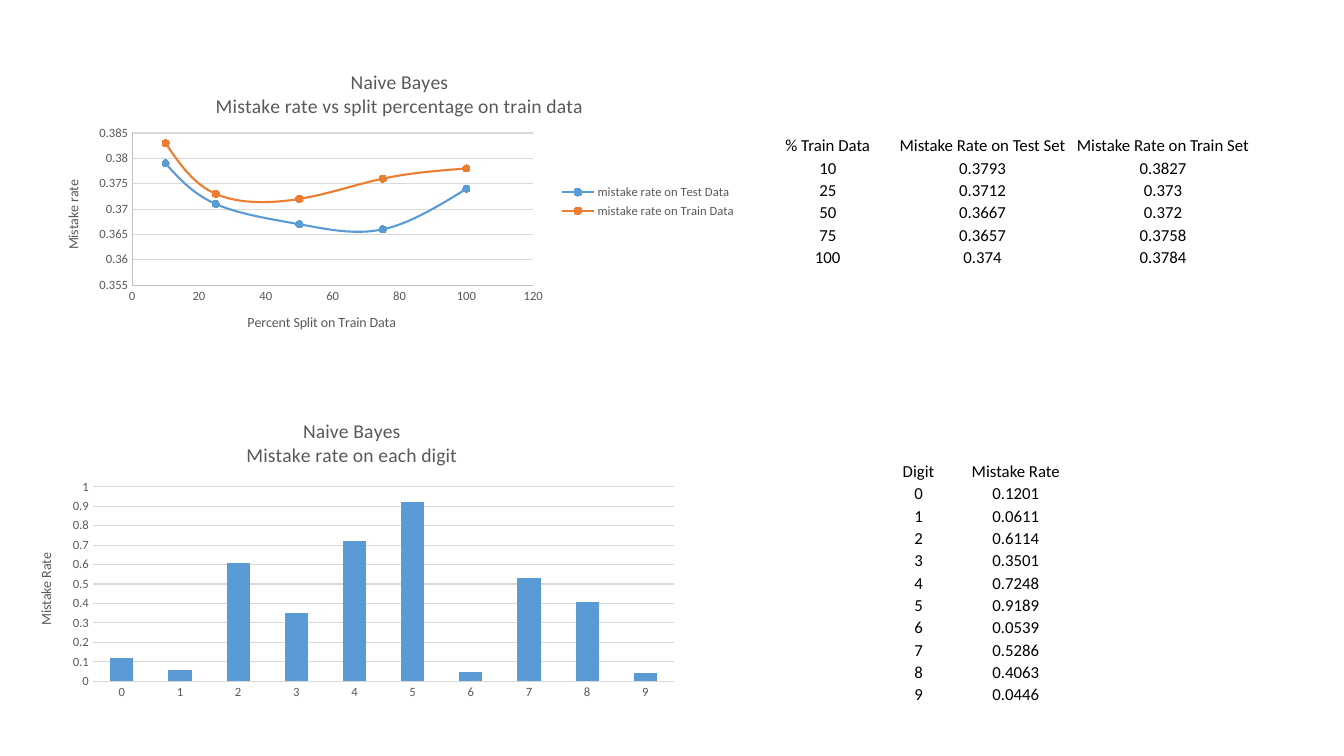
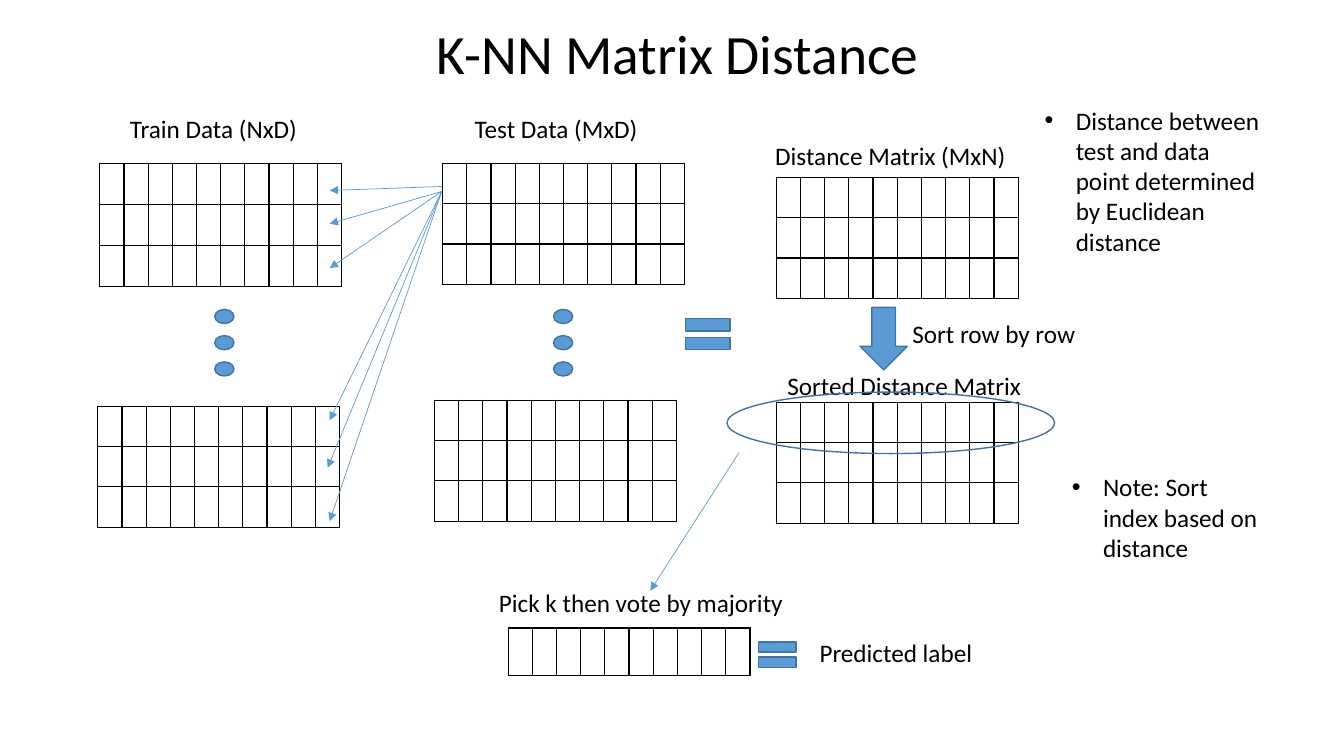
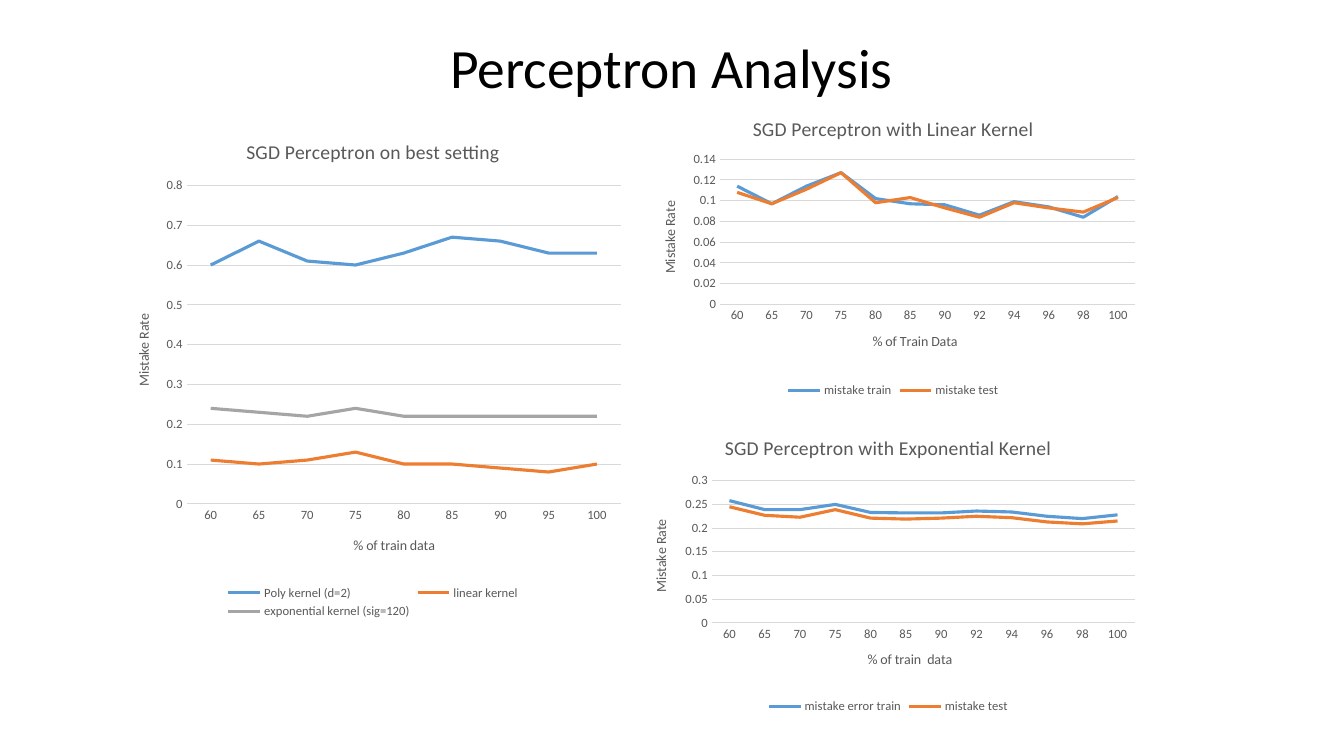
from itertools import product

from lxml.etree import SubElement
from pptx import Presentation
from pptx.chart.data import CategoryChartData, XyChartData
from pptx.dml.color import RGBColor
from pptx.enum.chart import XL_CHART_TYPE, XL_LEGEND_POSITION, XL_MARKER_STYLE, XL_TICK_MARK
from pptx.enum.shapes import MSO_CONNECTOR, MSO_SHAPE
from pptx.enum.text import MSO_ANCHOR, MSO_AUTO_SIZE, PP_ALIGN
from pptx.oxml.ns import qn
from pptx.util import Inches, Pt

FONT = "Calibri"
BLACK, GREY = "000000", "595959"
GRID, AXIS = "D9D9D9", "BFBFBF"
BLUE, OUTLINE = "5B9BD5", "43739E"
SERIES_COLORS = [BLUE, "ED7D31", "A5A5A5"]

SPLIT_ROWS = [
    (10, 0.3793, 0.3827),
    (25, 0.3712, 0.373),
    (50, 0.3667, 0.372),
    (75, 0.3657, 0.3758),
    (100, 0.374, 0.3784),
]
DIGIT_RATES = [0.1201, 0.0611, 0.6114, 0.3501, 0.7248, 0.9189, 0.0539, 0.5286, 0.4063, 0.0446]
KERNEL_SPLITS = [60, 65, 70, 75, 80, 85, 90, 92, 94, 96, 98, 100]
BEST_SPLITS = [60, 65, 70, 75, 80, 85, 90, 95, 100]


def rgb(color):
    return RGBColor.from_string(color)


def inches(*lengths):
    return [Inches(length) for length in lengths]


def apply(target, **values):
    """Set each named attribute of the target."""
    for name, value in values.items():
        setattr(target, name, value)


def style_font(font, size, color=BLACK):
    apply(font, name=FONT, size=Pt(size), bold=False)
    font.color.rgb = rgb(color)


def style_line(line, color, width):
    line.color.rgb = rgb(color)
    line.width = Pt(width)


def write(text_frame, text, size, color=BLACK, **paragraph_format):
    text_frame.text = text
    for paragraph in text_frame.paragraphs:
        apply(paragraph, **paragraph_format)
        for run in paragraph.runs:
            style_font(run.font, size, color)


def place(shape, box):
    apply(shape, **dict(zip(("left", "top", "width", "height"), inches(*box))))


def add_title(slide, text, box):
    title = slide.shapes.title
    place(title, box)
    apply(title.text_frame, auto_size=MSO_AUTO_SIZE.NONE, vertical_anchor=MSO_ANCHOR.MIDDLE)
    write(title.text_frame, text, 39.6, alignment=PP_ALIGN.CENTER, line_spacing=0.9)


# Charts


def set_layout(parent, box, **fractions):
    """Fix the place of a chart part; x and y are measured on the slide."""
    left, top, width, height = box
    layout = parent.find(qn("c:layout"))
    if layout is None:
        layout = parent.makeelement(qn("c:layout"))
        parent.insert(0, layout)
    manual = SubElement(layout, qn("c:manualLayout"))
    if "w" in fractions:
        SubElement(manual, qn("c:layoutTarget"), val="inner")
    for mode in ("xMode", "yMode"):
        SubElement(manual, qn("c:" + mode), val="edge")
    offsets = {"x": (left, width), "y": (top, height), "w": (0, width), "h": (0, height)}
    for name, value in fractions.items():
        start, extent = offsets[name]
        SubElement(manual, qn("c:" + name), val=f"{(value - start) / extent:.4f}")


def style_axis(axis, line_color, grid, scale):
    apply(axis, major_tick_mark=XL_TICK_MARK.NONE, minor_tick_mark=XL_TICK_MARK.NONE,
          has_major_gridlines=grid, **scale)
    style_font(axis.tick_labels.font, 9, GREY)
    apply(axis.tick_labels, number_format="General", number_format_is_linked=False)
    if grid:
        style_line(axis.major_gridlines.format.line, GRID, 0.75)
    if line_color:
        style_line(axis.format.line, line_color, 0.75)
    else:
        axis.format.line.fill.background()


def add_axis_title(axis, text, box, position, upright=False):
    write(axis.axis_title.text_frame, text, 10, GREY)
    title = axis.axis_title.element
    set_layout(title, box, x=position[0], y=position[1])
    if upright:
        body = title.find(".//" + qn("a:bodyPr"))
        body.set("rot", "-5400000")
        body.set("vert", "horz")


def add_chart(slide, kind, data, box, plot_box, title, value_title, category_title=None,
              legend=None, value_scale=None, category_scale=None,
              category_line=GRID, value_line=None):
    """Axis titles are pairs of text and (left, top)."""
    chart = slide.shapes.add_chart(kind, *inches(*box), data).chart
    style_font(chart.font, 10)
    apply(chart, has_title=True, has_legend=legend is not None)
    write(chart.chart_title.text_frame, title, 14, GREY)
    chart.chart_title.include_in_layout = False
    if legend is not None:
        apply(chart.legend, position=legend, include_in_layout=False)
        style_font(chart.legend.font, 9, GREY)
    style_axis(chart.category_axis, category_line, False, category_scale or {})
    style_axis(chart.value_axis, value_line, True, value_scale or {})
    add_axis_title(chart.value_axis, value_title[0], box, value_title[1], upright=True)
    if category_title:
        add_axis_title(chart.category_axis, category_title[0], box, category_title[1])
    set_layout(chart.element.find(".//" + qn("c:plotArea")), box, **dict(zip("xywh", plot_box)))
    chart.plots[0].vary_by_categories = False
    return chart


def scale(low, high, step):
    return {"minimum_scale": low, "maximum_scale": high, "major_unit": step}


def category_data(categories, series):
    data = CategoryChartData(number_format="General")
    data.categories = categories
    for name, values in series.items():
        data.add_series(name, values)
    return data


def add_split_chart(slide):
    data = XyChartData(number_format="General")
    for column, subset in enumerate(("Test", "Train"), start=1):
        series = data.add_series(f"mistake rate on {subset} Data")
        for row in SPLIT_ROWS:
            series.add_data_point(row[0], round(row[column], 3))
    box = (0.43, 0.5, 6.97, 3)
    chart = add_chart(
        slide, XL_CHART_TYPE.XY_SCATTER_SMOOTH, data, box, (1.31, 1.32, 3.98, 1.51),
        "Naive Bayes\nMistake rate vs split percentage on train data",
        ("Mistake rate", (0.61, 1.76)), ("Percent Split on Train Data", (2.43, 3.08)),
        XL_LEGEND_POSITION.RIGHT, scale(0.355, 0.385, 0.005), scale(0, 120, 20), AXIS, AXIS)
    set_layout(chart.chart_title.element, box, x=2.11, y=0.65)
    for smooth in chart.element.iter(qn("c:smooth")):
        smooth.set("val", "1")
    for series, color in zip(chart.plots[0].series, SERIES_COLORS):
        style_line(series.format.line, color, 1.5)
        apply(series.marker, style=XL_MARKER_STYLE.CIRCLE, size=5)
        series.marker.format.fill.solid()
        series.marker.format.fill.fore_color.rgb = rgb(color)
        style_line(series.marker.format.line, color, 0.75)


def add_digit_chart(slide):
    rates = [round(rate, 2) for rate in DIGIT_RATES]
    chart = add_chart(
        slide, XL_CHART_TYPE.COLUMN_CLUSTERED,
        category_data(range(10), {"Series 1": rates}),
        (0.16, 4, 6.66, 3), (0.92, 4.83, 5.77, 1.93),
        "Naive Bayes\nMistake rate on each digit",
        ("Mistake Rate", (0.34, 5.46)), value_scale=scale(0, 1, 0.1))
    plot = chart.plots[0]
    plot.gap_width = 150
    plot.series[0].format.fill.solid()
    plot.series[0].format.fill.fore_color.rgb = rgb(BLUE)


def add_kernel_chart(slide, categories, series_values, box, plot_box, title,
                     value_title_at, category_title, value_scale):
    chart = add_chart(
        slide, XL_CHART_TYPE.LINE, category_data(categories, series_values), box, plot_box, title,
        ("Mistake Rate", value_title_at), category_title, XL_LEGEND_POSITION.BOTTOM, value_scale)
    for series, color in zip(chart.plots[0].series, SERIES_COLORS):
        series.smooth = False
        series.marker.style = XL_MARKER_STYLE.NONE
        style_line(series.format.line, color, 2.25)


# Tables


def add_plain_table(slide, left, top, column_widths, height, row_count):
    """Add a table without style bands, fills or cell margins."""
    box = inches(left, top, sum(column_widths), height)
    table = slide.shapes.add_table(row_count, len(column_widths), *box).table
    apply(table, first_row=False, horz_banding=False)
    for column, width in zip(table.columns, column_widths):
        column.width = Inches(width)
    for cell in table.iter_cells():
        cell.fill.background()
        apply(cell, margin_left=0, margin_right=0, margin_top=0, margin_bottom=0,
              vertical_anchor=MSO_ANCHOR.BOTTOM)
    return table


def add_data_table(slide, left, top, column_widths, height, rows):
    table = add_plain_table(slide, left, top, column_widths, height, len(rows))
    for cell, value in zip(table.iter_cells(), (value for row in rows for value in row)):
        write(cell.text_frame, str(value), 12, alignment=PP_ALIGN.CENTER)


def add_matrix(slide, left, top, row_count=3, height=1.2):
    """Draw an empty grid of ten columns with black borders."""
    table = add_plain_table(slide, left, top, [0.24] * 10, height, row_count)
    for cell in table.iter_cells():
        properties = cell._tc.get_or_add_tcPr()
        for index, side in enumerate(("lnL", "lnR", "lnT", "lnB")):
            border = properties.makeelement(qn("a:" + side), w=str(Pt(1)))
            SubElement(SubElement(border, qn("a:solidFill")), qn("a:srgbClr"), val=BLACK)
            properties.insert(index, border)


# Diagram parts


def add_label(slide, text, *box):
    text_frame = slide.shapes.add_textbox(*inches(*box)).text_frame
    text_frame.word_wrap = False
    write(text_frame, text, 18)


def add_mark(slide, kind, box, filled=True):
    shape = slide.shapes.add_shape(kind, *inches(*box))
    shape.shadow.inherit = False
    if filled:
        shape.fill.solid()
        shape.fill.fore_color.rgb = rgb(BLUE)
    else:
        shape.fill.background()
    style_line(shape.line, OUTLINE, 1)


def add_arrow(slide, start, end):
    connector = slide.shapes.add_connector(MSO_CONNECTOR.STRAIGHT, *inches(*start, *end))
    style_line(connector.line, BLUE, 0.5)
    SubElement(connector.line._get_or_add_ln(), qn("a:tailEnd"), type="triangle")
    SubElement(connector.element.spPr, qn("a:effectLst"))


def add_note(placeholder, text, box):
    place(placeholder, box)
    apply(placeholder.text_frame, auto_size=MSO_AUTO_SIZE.NONE, word_wrap=True)
    write(placeholder.text_frame, text, 18, space_before=Pt(0))
    properties = placeholder.text_frame.paragraphs[0]._p.get_or_add_pPr()
    properties.set("marL", str(Inches(0.31)))
    properties.set("indent", str(Inches(-0.31)))


def add_data_sets(slide):
    """Train and test matrices, the dots between their rows, and the comparisons."""
    add_label(slide, "Train Data (NxD)", 1.19, 1.08, 1.88, 0.4)
    add_label(slide, "Test Data (MxD)", 4.61, 1.08, 1.84, 0.4)
    add_matrix(slide, 0.99, 1.62, height=1.22)
    for left, top in ((0.97, 4.03), (4.39, 1.62), (4.31, 3.97)):
        add_matrix(slide, left, top)
    for left, step in product((2.13, 5.49), range(3)):
        add_mark(slide, MSO_SHAPE.OVAL, (left, 3.07 + 0.26 * step, 0.19, 0.14))
    add_arrow(slide, (4.38, 1.85), (3.27, 1.89))
    for end in ((3.27, 2.22), (3.27, 2.66), (3.27, 4.17), (3.25, 4.64), (3.27, 5.17)):
        add_arrow(slide, (4.38, 1.9), end)
    add_mark(slide, MSO_SHAPE.MATH_EQUAL, (6.72, 3.05, 0.6, 0.53))


def add_sorting(slide):
    add_matrix(slide, 7.7, 1.76)
    add_label(slide, "Distance Matrix (MxN)", 7.59, 1.34, 2.51, 0.31)
    add_mark(slide, MSO_SHAPE.DOWN_ARROW, (8.53, 3.05, 0.47, 0.62))
    add_label(slide, "Sort row by row", 8.95, 3.11, 1.84, 0.31)
    add_matrix(slide, 7.7, 3.99)
    add_label(slide, "Sorted Distance Matrix", 7.71, 3.62, 2.55, 0.31)
    add_mark(slide, MSO_SHAPE.OVAL, (7.21, 3.89, 3.25, 0.61), filled=False)


def add_vote(slide):
    add_arrow(slide, (7.33, 4.49), (6.45, 5.86))
    add_label(slide, "Pick k then vote by majority", 4.85, 5.78, 3.05, 0.4)
    add_matrix(slide, 5.04, 6.23, row_count=1, height=0.47)
    add_mark(slide, MSO_SHAPE.MATH_EQUAL, (7.46, 6.28, 0.5, 0.43))
    add_label(slide, "Predicted label", 8.03, 6.27, 1.74, 0.4)


# Slides


def build_naive_bayes(presentation):
    slide = presentation.slides.add_slide(presentation.slide_layouts.get_by_name("Blank"))
    add_split_chart(slide)
    add_digit_chart(slide)
    add_data_table(slide, 8.66, 4.56, (0.9, 1.03), 2.44,
                   [("Digit", "Mistake Rate"), *enumerate(DIGIT_RATES)])
    add_data_table(slide, 7.56, 1.33, (1.3, 1.77, 1.81), 1.33,
                   [("% Train Data", "Mistake Rate on Test Set", "Mistake Rate on Train Set"),
                    *SPLIT_ROWS])


def build_matrix_distance(presentation):
    slide = presentation.slides.add_slide(presentation.slide_layouts.get_by_name("Two Content"))
    add_title(slide, "K-NN Matrix Distance", (0.97, 0.35, 11.5, 0.43))
    add_data_sets(slide)
    add_sorting(slide)
    add_vote(slide)
    add_note(slide.placeholders[1],
             "Distance between test and data point determined by Euclidean distance",
             (10.26, 0.99, 2.37, 1.62))
    add_note(slide.placeholders[2], "Note: Sort index based on distance", (10.53, 4.63, 2.1, 1.01))


def build_perceptron(presentation):
    slide = presentation.slides.add_slide(presentation.slide_layouts.get_by_name("Title Only"))
    add_title(slide, "Perceptron Analysis", (0.91, 0.4, 11.5, 0.6))
    add_kernel_chart(
        slide, KERNEL_SPLITS,
        {"mistake error train": [0.258, 0.239, 0.239, 0.25, 0.233, 0.232,
                                 0.232, 0.236, 0.234, 0.225, 0.22, 0.228],
         "mistake test": [0.245, 0.227, 0.223, 0.239, 0.221, 0.219,
                          0.221, 0.225, 0.222, 0.213, 0.209, 0.215]},
        (6.26, 4.16, 5.1, 2.96), (7.06, 4.77, 4.2, 1.41),
        "SGD Perceptron with Exponential Kernel",
        (6.44, 5.13), ("% of train  data", (8.58, 6.43)), scale(0, 0.3, 0.05))
    add_kernel_chart(
        slide, KERNEL_SPLITS,
        {"mistake train": [0.114, 0.097, 0.114, 0.127, 0.102, 0.097,
                           0.096, 0.086, 0.099, 0.094, 0.084, 0.104],
         "mistake test": [0.108, 0.097, 0.111, 0.127, 0.098, 0.103,
                          0.093, 0.084, 0.098, 0.093, 0.089, 0.103]},
        (6.36, 1, 5, 2.99), (7.14, 1.58, 4.12, 1.44),
        "SGD Perceptron with Linear Kernel",
        (6.53, 1.97), ("% of Train Data", (8.63, 3.27)), scale(0, 0.14, 0.02))
    add_kernel_chart(
        slide, BEST_SPLITS,
        {"Poly kernel (d=2)": [0.6, 0.66, 0.61, 0.6, 0.63, 0.67, 0.66, 0.63, 0.63],
         "linear kernel": [0.11, 0.1, 0.11, 0.13, 0.1, 0.1, 0.09, 0.08, 0.1],
         "exponential kernel (sig=120)": [0.24, 0.23, 0.22, 0.24, 0.22, 0.22, 0.22, 0.22, 0.22]},
        (1.14, 1.18, 5.12, 5), (1.85, 1.84, 4.31, 3.16),
        "SGD Perceptron on best setting",
        (1.31, 3.09), ("% of train data", (3.48, 5.29)), scale(0, 0.8, 0.1))


def main():
    presentation = Presentation()
    apply(presentation, slide_width=Inches(13.33), slide_height=Inches(7.5))
    build_naive_bayes(presentation)
    build_matrix_distance(presentation)
    build_perceptron(presentation)
    presentation.save("out.pptx")


if __name__ == "__main__":
    main()
